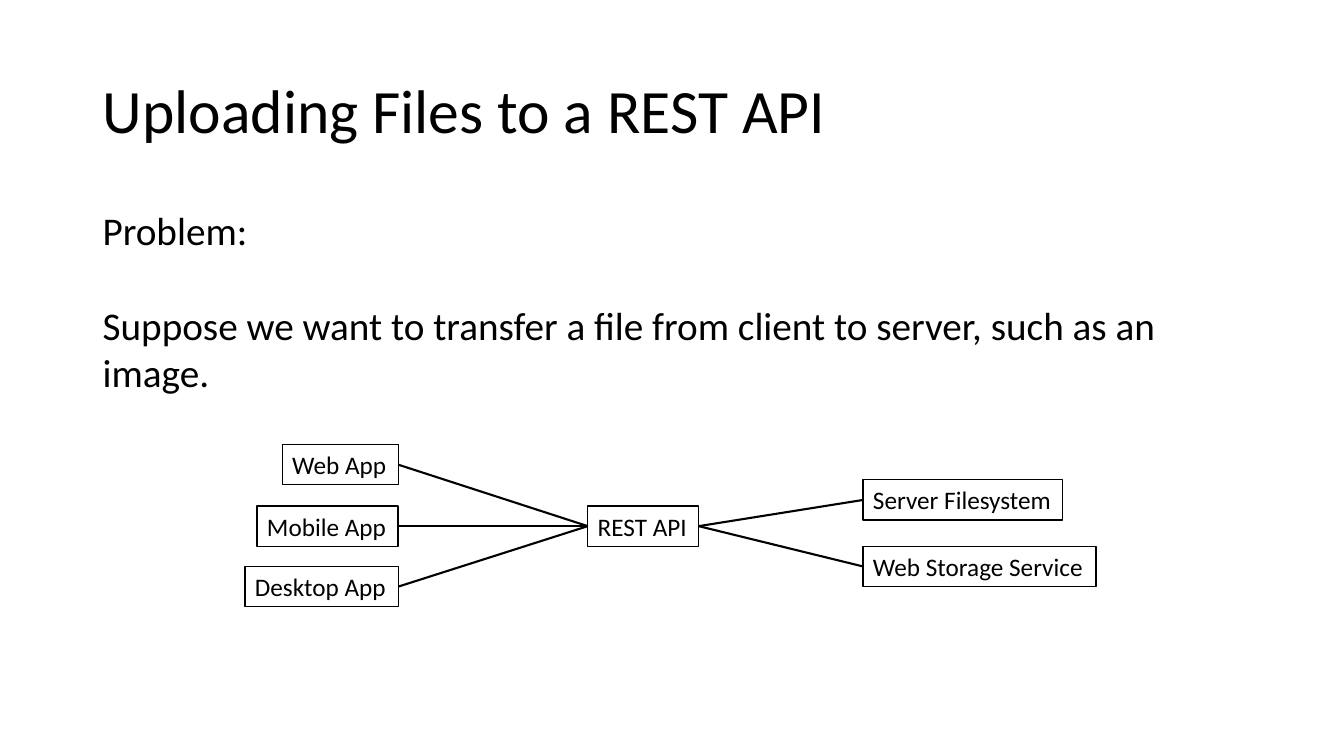
from pptx import Presentation
from pptx.dml.color import RGBColor
from pptx.enum.shapes import MSO_CONNECTOR, MSO_SHAPE
from pptx.enum.text import MSO_ANCHOR, MSO_AUTO_SIZE, PP_ALIGN
from pptx.oxml.ns import qn
from pptx.util import Inches, Pt
from lxml import etree

BLACK = RGBColor(0x00, 0x00, 0x00)
WHITE = RGBColor(0xFF, 0xFF, 0xFF)
LEFT_SITE, RIGHT_SITE = 1, 3
BOX_HEIGHT = 0.4


def add_run(p, text, size):
    p.alignment = PP_ALIGN.LEFT
    r = p.add_run()
    r.text = text
    r.font.name = "Calibri"
    r.font.size = Pt(size)
    r.font.color.rgb = BLACK


def add_box(text, left, top, width):
    sp = s.shapes.add_shape(MSO_SHAPE.RECTANGLE, Inches(left), Inches(top),
                            Inches(width), Inches(BOX_HEIGHT))
    sp.shadow.inherit = False
    sp.fill.solid()
    sp.fill.fore_color.rgb = WHITE
    sp.line.color.rgb = BLACK
    sp.line.width = Pt(1)
    tf = sp.text_frame
    tf.word_wrap = False
    tf.auto_size = MSO_AUTO_SIZE.SHAPE_TO_FIT_TEXT
    tf.vertical_anchor = MSO_ANCHOR.TOP
    add_run(tf.paragraphs[0], text, 18)
    return sp


prs = Presentation()
prs.slide_width, prs.slide_height = Inches(13.33), Inches(7.5)
s = prs.slides.add_slide(prs.slide_layouts[5])

# Title
title = s.shapes.title
title.left, title.top = Inches(0.92), Inches(0.4)
title.width, title.height = Inches(11.5), Inches(1.45)
tf = title.text_frame
tf.auto_size = MSO_AUTO_SIZE.NONE
tf.vertical_anchor = MSO_ANCHOR.MIDDLE
tf.paragraphs[0].line_spacing = 0.9
add_run(tf.paragraphs[0], "Uploading Files to a REST API", 44)

# Problem statement
body = s.shapes.add_textbox(Inches(0.92), Inches(2), Inches(11.5), Inches(2.12))
tf = body.text_frame
tf.word_wrap = True
add_run(tf.paragraphs[0], "Problem:", 28)
p = tf.add_paragraph()
p.space_before = Pt(34)
add_run(p, "Suppose we want to transfer a file from client to server, such as an image.", 28)

# Clients, API and storage
clients = [add_box(text, left, top, width) for text, left, top, width in (
    ("Web App", 2.8, 4.41, 1.15),
    ("Mobile App", 2.55, 5.02, 1.4),
    ("Desktop App", 2.43, 5.62, 1.52),
)]
api = add_box("REST API", 5.83, 5.02, 1.1)
stores = [add_box(text, 8.56, top, width) for text, top, width in (
    ("Server Filesystem", 4.76, 1.98),
    ("Web Storage Service", 5.42, 2.31),
)]

# Links run from right edge to left edge
links = [(client, api) for client in clients] + [(api, store) for store in stores]
for source, target in links:
    link = s.shapes.add_connector(MSO_CONNECTOR.STRAIGHT, 0, 0, 0, 0)
    link.begin_connect(source, RIGHT_SITE)
    link.end_connect(target, LEFT_SITE)
    link.line.color.rgb = BLACK
    link.line.width = Pt(1.5)
    etree.SubElement(link.element.spPr, qn("a:effectLst"))

prs.save("out.pptx")
